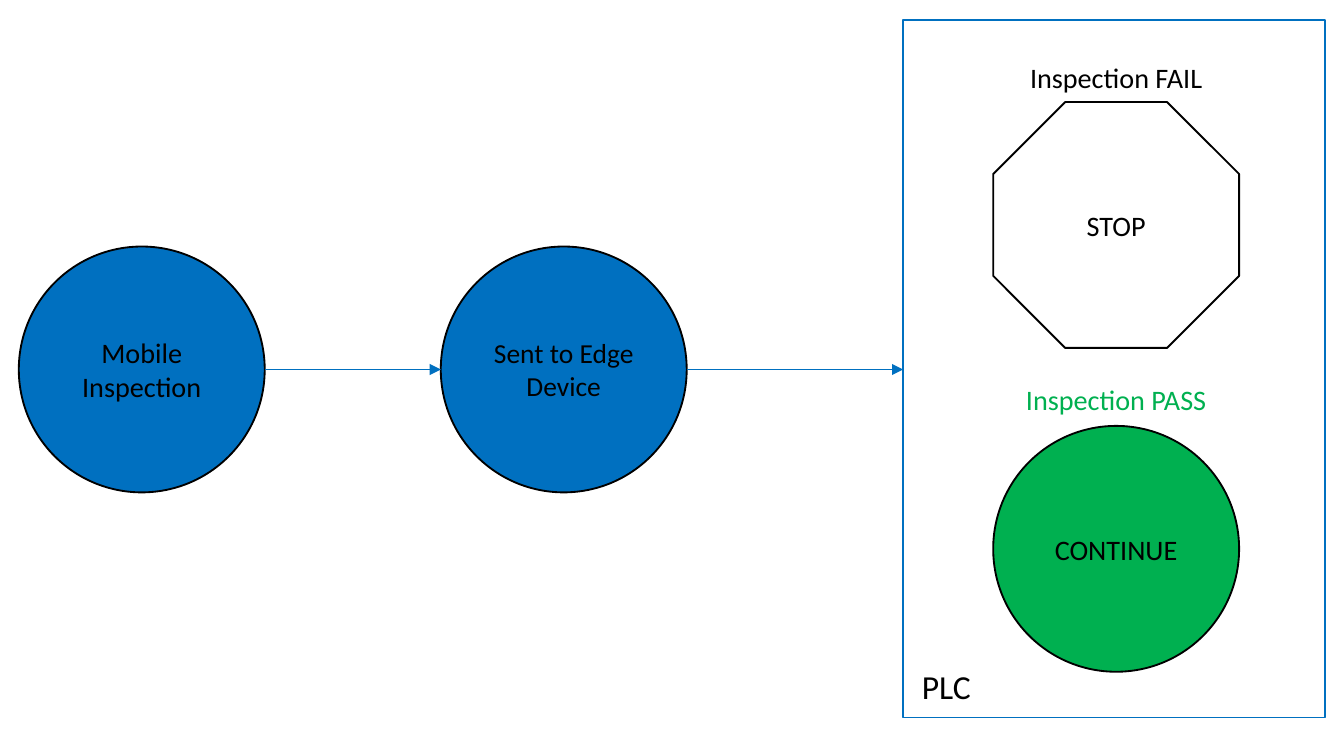
from pptx import Presentation
from pptx import util as u
from pptx.dml.color import RGBColor
from pptx.enum import shapes, text
from pptx.oxml import parse_xml
from pptx.oxml.ns import nsdecls

COLORS = {"blue": "0070C0", "green": "00B050", "black": "000000", "white": "FFFFFF"}
NODE = 1.83
MIDDLE = 2.75


def color(name):
    """Return the named colour."""
    return RGBColor.from_string(COLORS[name])


def write(shape, words, size=15.1, ink="black", align="CENTER", anchor="MIDDLE"):
    """Put formatted text into a shape."""
    frame = shape.text_frame
    frame.word_wrap = True
    frame.vertical_anchor = getattr(text.MSO_ANCHOR, anchor)
    paragraph = frame.paragraphs[0]
    paragraph.alignment = getattr(text.PP_ALIGN, align)
    run = paragraph.add_run()
    run.text = words
    run.font.name = "Calibri"
    run.font.size = u.Pt(size)
    run.font.color.rgb = color(ink)


def add_outline(slide, kind, box, fill=None, line="black"):
    """Add a preset shape with a thin outline."""
    shape = slide.shapes.add_shape(kind, *map(u.Inches, box))
    shape.shadow.inherit = False
    if fill:
        shape.fill.solid()
        shape.fill.fore_color.rgb = color(fill)
    else:
        shape.fill.background()
    shape.line.color.rgb = color(line)
    shape.line.width = u.Pt(1)
    return shape


def add_node(slide, left, top, words, fill, kind="FLOWCHART_CONNECTOR", size=15.1):
    """Add one labelled step of the flow."""
    kind = getattr(shapes.MSO_SHAPE, kind)
    node = add_outline(slide, kind, (left, top, NODE, NODE), fill)
    write(node, words, size=size)


def add_label(slide, box, words, **style):
    """Add a text box."""
    label = slide.shapes.add_textbox(*map(u.Inches, box))
    write(label, words, anchor="TOP", **style)


def add_arrow(slide, start, end):
    """Add a horizontal arrow along the middle of the flow."""
    points = map(u.Inches, (start, MIDDLE, end, MIDDLE))
    arrow = slide.shapes.add_connector(shapes.MSO_CONNECTOR.STRAIGHT, *points)
    arrow.line.color.rgb = color("blue")
    arrow.line.width = u.Pt(1)
    arrow.line._get_or_add_ln().append(
        parse_xml(f'<a:tailEnd {nsdecls("a")} type="triangle"/>'))
    arrow._element.spPr.append(parse_xml(f'<a:effectLst {nsdecls("a")}/>'))


def add_controller(slide, left, top, width, height):
    """Draw the controller panel with its two outcomes."""
    add_outline(slide, shapes.MSO_SHAPE.FLOWCHART_PROCESS,
                (left, top, width, height), line="blue")
    outcomes = [
        (0.25, 0.61, "Inspection FAIL", "black", "STOP", "white", "OCTAGON"),
        (2.65, 3.02, "Inspection PASS", "green", "CONTINUE", "green", "FLOWCHART_CONNECTOR"),
    ]
    for label_top, node_top, result, ink, action, fill, kind in outcomes:
        add_node(slide, left + 0.67, top + node_top, action, fill, kind)
        add_label(slide, (left + 0.57, top + label_top, 2.03, 0.36), result, ink=ink)
    add_label(slide, (left + 0.04, top + height - 0.43, 0.89, 0.4), "PLC",
              size=18, align="LEFT")


def add_flow(slide, left, end):
    """Draw the two steps and the arrows leading to the panel."""
    second = left + 3.14
    top = MIDDLE - NODE / 2
    add_node(slide, left, top, "Mobile Inspection", "blue")
    add_node(slide, second, top, "Sent to Edge Device", "blue", size=14.7)
    add_arrow(slide, left + NODE, second)
    add_arrow(slide, second + NODE, end)


presentation = Presentation()
presentation.slide_width = u.Inches(10)
presentation.slide_height = u.Inches(5.5)
slide = presentation.slides.add_slide(presentation.slide_layouts[6])
add_controller(slide, 6.72, 0.15, 3.14, 5.19)
add_flow(slide, 0.14, 6.72)
presentation.save("out.pptx")
